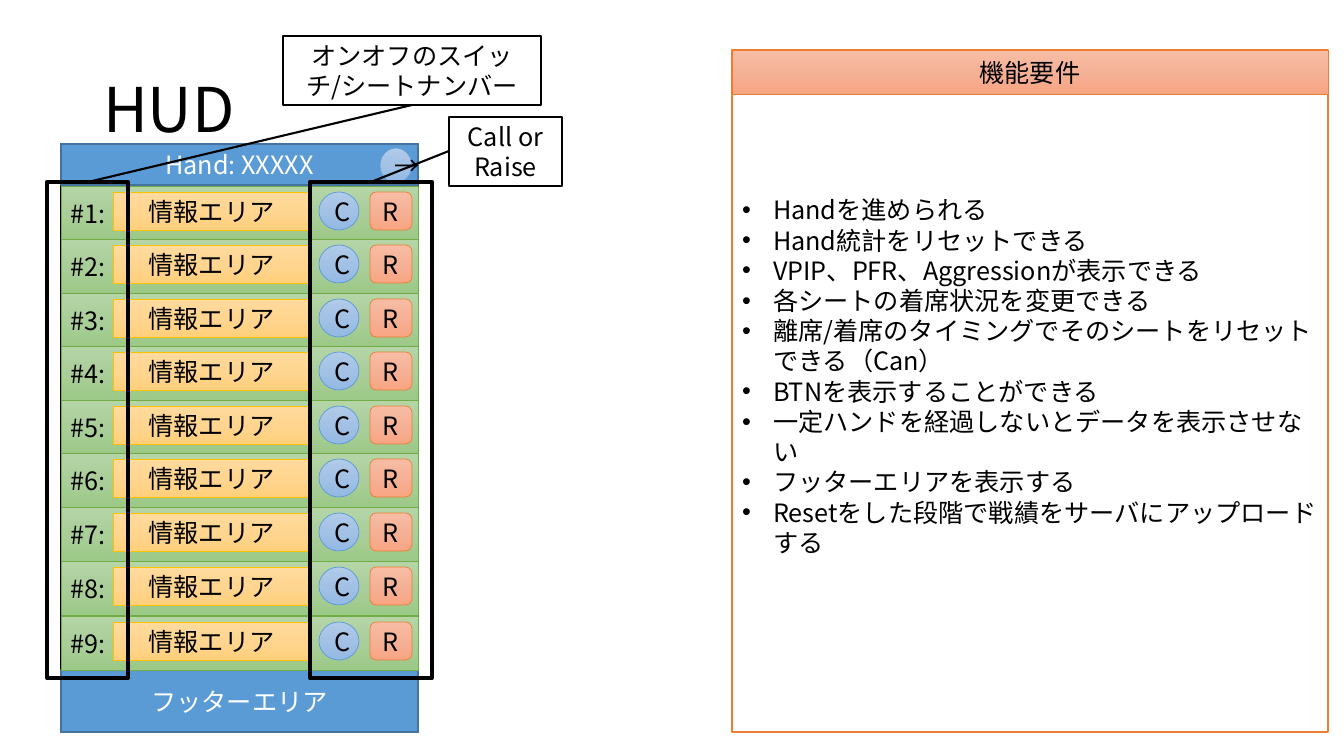
import copy
import lxml.etree
import pptx
import pptx.dml.color
import pptx.enum.shapes
import pptx.enum.text
import pptx.oxml.ns
import pptx.util

EMU_PER_PIXEL = 914400 / 100.8
FONT = "Noto Sans CJK JP"
BLACK, WHITE = "000000", "FFFFFF"
SHAPE = pptx.enum.shapes.MSO_SHAPE
ALIGN = pptx.enum.text.PP_ALIGN

# Each style: fill colours, line colour, line width
BAR = (["5B9BD5"], "43739E", 1)
PANEL = ([WHITE], "ED7D31", 1)
NOTE = ([WHITE], BLACK, 1)
FRAME = ([], BLACK, 3)
GREEN = (["B5D5A7", "AACE9A", "9CC987"], "70AD47", 0.5)
ORANGE = (["F7BDA5", "F5B196", "F8A582"], "ED7D31", 0.5)
BLUE = (["B1CBE9", "A3C1E5", "93B9E4"], "5B9BD5", 0.5)
YELLOW = (["FFDB9E", "FFD590", "FFD07C"], "FFC000", 0.5)

REQUIREMENTS = [
    "Handを進められる",
    "Hand統計をリセットできる",
    "VPIP、PFR、Aggressionが表示できる",
    "各シートの着席状況を変更できる",
    "離席/着席のタイミングでそのシートをリセットできる（Can）",
    "BTNを表示することができる",
    "一定ハンドを経過しないとデータを表示させない",
    "フッターエリアを表示する",
    "Resetをした段階で戦績をサーバにアップロードする",
]


def px(pixels):
    return pptx.util.Emu(round(pixels * EMU_PER_PIXEL))


def rgb(hex_colour):
    return pptx.dml.color.RGBColor.from_string(hex_colour)


def place(shape, x, y, width, height):
    shape.left, shape.top, shape.width, shape.height = map(px, (x, y, width, height))


def paint(shape, style):
    colours, line_colour, line_width = style
    if not colours:
        shape.fill.background()
    elif len(colours) == 1:
        shape.fill.solid()
        shape.fill.fore_color.rgb = rgb(colours[0])
    else:
        shape.fill.gradient()
        shape.fill.gradient_angle = 270
        stop_list = shape.fill._fill._gradFill.gsLst
        stop_list.insert(1, copy.deepcopy(stop_list[0]))
        for index, (stop, colour) in enumerate(zip(shape.fill.gradient_stops, colours)):
            stop.position = index / (len(colours) - 1)
            stop.color.rgb = rgb(colour)
    shape.line.color.rgb = rgb(line_colour)
    shape.line.width = pptx.util.Pt(line_width)


def format_paragraph(paragraph, align, colour=BLACK, size=18):
    paragraph.alignment = align
    paragraph.font.name = FONT
    paragraph.font.size = pptx.util.Pt(size)
    paragraph.font.color.rgb = rgb(colour)
    # East Asian face follows the Latin one
    latin = paragraph.font._element.find(pptx.oxml.ns.qn("a:latin"))
    east_asian = lxml.etree.Element(pptx.oxml.ns.qn("a:ea"), typeface=FONT)
    latin.addnext(east_asian)


def add_box(shapes, box, style, text="", colour=BLACK, align=ALIGN.CENTER, kind=SHAPE.RECTANGLE):
    shape = shapes.add_shape(kind, *map(px, box))
    shape.shadow.inherit = False
    paint(shape, style)
    if text:
        shape.text_frame.text = text
        format_paragraph(shape.text_frame.paragraphs[0], align, colour)
    return shape


def add_pointer(shapes, start, end):
    pointer = shapes.add_connector(
        pptx.enum.shapes.MSO_CONNECTOR.STRAIGHT, *map(px, start + end))
    pointer.line.color.rgb = rgb(BLACK)
    pointer.line.width = pptx.util.Pt(1.5)
    lxml.etree.SubElement(pointer._element.spPr, pptx.oxml.ns.qn("a:effectLst"))


def add_title(slide, x, y, width, height):
    title = slide.shapes.title
    place(title, x, y, width, height)
    title.text_frame.text = "HUD"
    title.text_frame.vertical_anchor = pptx.enum.text.MSO_ANCHOR.MIDDLE
    heading = title.text_frame.paragraphs[0]
    heading.line_spacing = 0.9
    format_paragraph(heading, ALIGN.LEFT, size=44)


def add_requirements(slide, x, y, width, height):
    panel = slide.placeholders[1]
    place(panel, x, y, width, height)
    paint(panel, PANEL)
    frame = panel.text_frame
    frame.auto_size = pptx.enum.text.MSO_AUTO_SIZE.NONE
    frame.vertical_anchor = pptx.enum.text.MSO_ANCHOR.MIDDLE
    frame.margin_bottom = px(35)
    frame.text = "\n".join(REQUIREMENTS)
    for item in frame.paragraphs:
        format_paragraph(item, ALIGN.LEFT)
        item.space_before = pptx.util.Pt(0)
        item.line_spacing = 1.0
        properties = item._p.get_or_add_pPr()
        properties.set("marL", str(px(31)))
        properties.set("indent", str(-px(31)))
    add_box(slide.shapes, (x, y, width, 44), ORANGE, "機能要件")


def add_seat(slide, seat, x, y, width, height):
    shapes = slide.shapes.add_group_shape().shapes
    add_box(shapes, (x, y, width, height), GREEN, f"#{seat}: ", align=ALIGN.LEFT)
    add_box(shapes, (x + 309, y + 6, 42, 38), ORANGE, "R", kind=SHAPE.ROUNDED_RECTANGLE)
    add_box(shapes, (x + 258, y + 6, 40, 38), BLUE, "C", kind=SHAPE.OVAL)
    add_box(shapes, (x + 52, y + 6, 197, 38), YELLOW, "情報エリア")


def add_hud(slide, x, y, width, height):
    shapes = slide.shapes
    seat_height, footer_height, seats = 54, 62, 9
    footer_top = y + height - footer_height
    add_box(shapes, (x, y, width, height), NOTE)
    add_box(shapes, (x, footer_top, width, footer_height), BAR, "フッターエリア", WHITE)
    # Header with the next-hand button
    add_box(shapes, (x, y, width, 41), BAR, "Hand: XXXXX", WHITE)
    add_box(shapes, (x + 319, y + 4, 32, 35), BLUE, "→", kind=SHAPE.OVAL)
    # Seats run evenly; the last one rests on the footer
    for index in range(seats - 1):
        add_seat(slide, index + 1, x, y + 42 + index * 375 // 7, width, seat_height)
    add_seat(slide, seats, x, footer_top - seat_height, width, seat_height)


def add_callouts(slide, x, y):
    shapes = slide.shapes
    # Seat switches
    add_box(shapes, (x, y + 146, 81, 496), FRAME)
    add_box(shapes, (x + 236, y, 258, 69), NOTE, "オンオフのスイッチ/シートナンバー")
    add_pointer(shapes, (x + 365, y + 69), (x + 41, y + 146))
    # Call and raise buttons
    add_box(shapes, (x + 263, y + 146, 122, 496), FRAME)
    add_box(shapes, (x + 402, y + 81, 113, 69), NOTE, "Call or Raise")
    add_pointer(shapes, (x + 402, y + 115), (x + 324, y + 146))


presentation = pptx.Presentation()
presentation.slide_width, presentation.slide_height = px(1344), px(756)
hud_slide = presentation.slides.add_slide(presentation.slide_layouts[1])
add_title(hud_slide, 93, 40, 1159, 146)
add_requirements(hud_slide, 732, 50, 596, 682)
add_hud(hud_slide, 61, 144, 357, 588)
add_callouts(hud_slide, 47, 36)
presentation.save("out.pptx")
